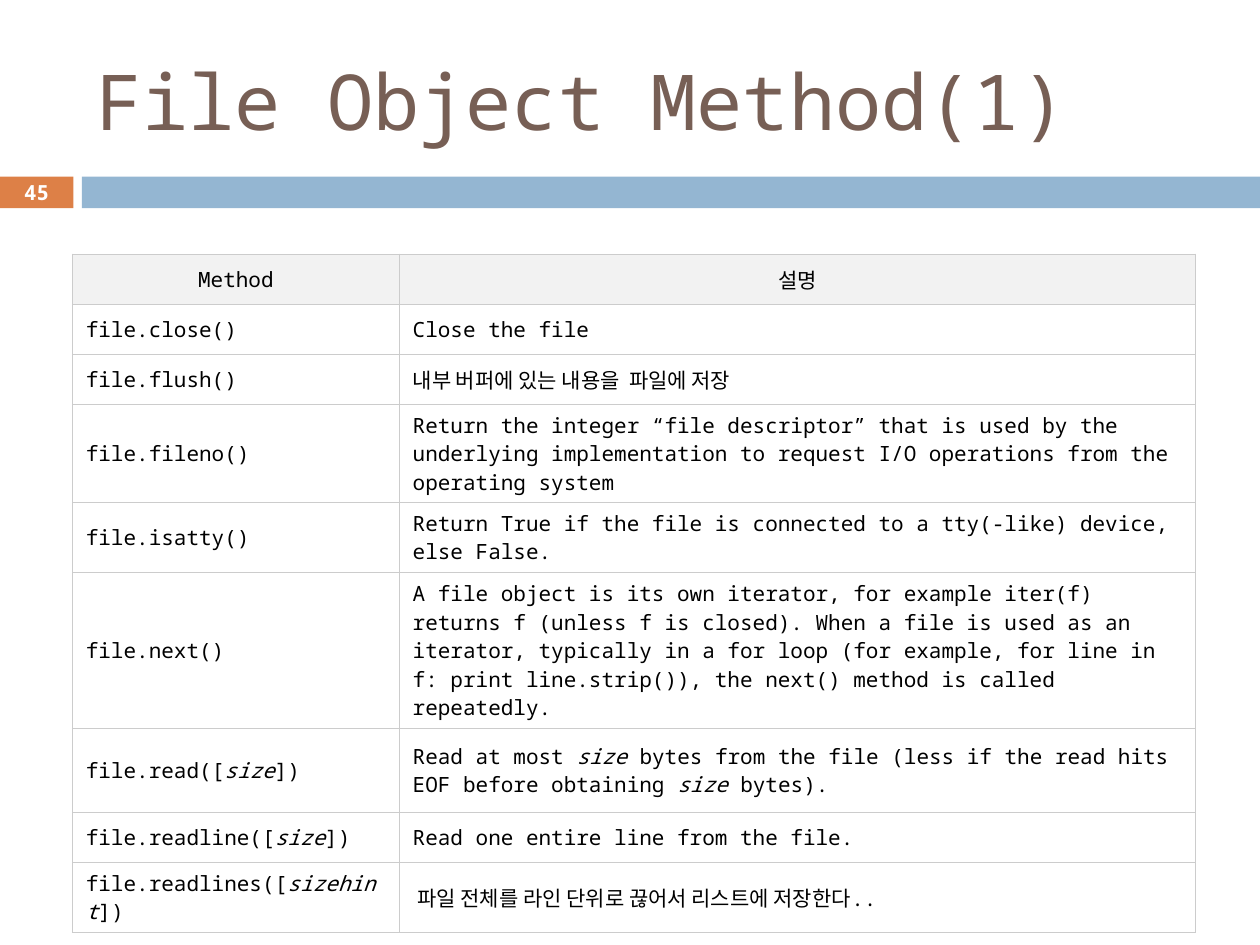
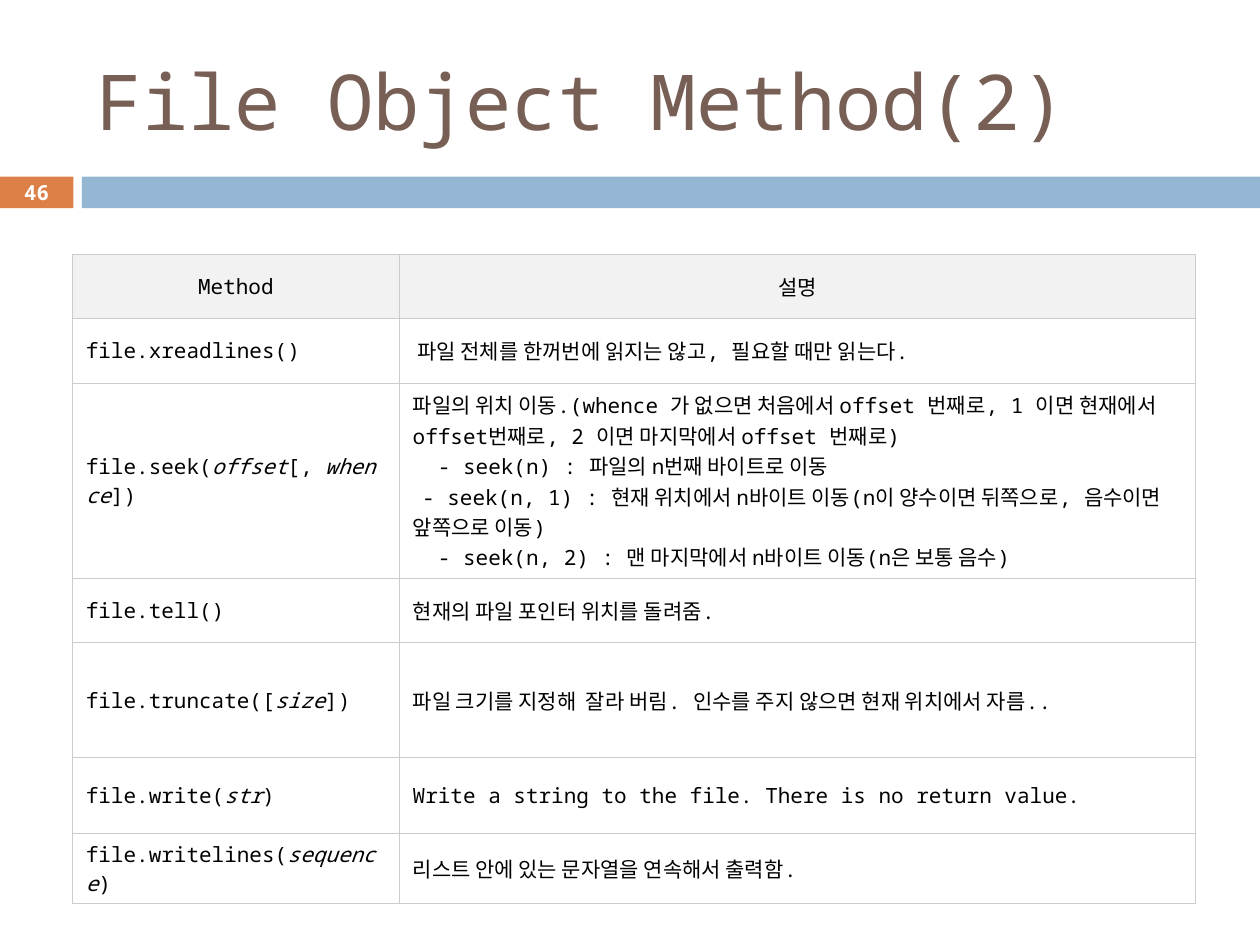
from dataclasses import dataclass

from lxml.etree import SubElement
from pptx import Presentation
from pptx.dml.color import RGBColor
from pptx.enum.shapes import MSO_SHAPE
from pptx.enum.text import MSO_ANCHOR, PP_ALIGN
from pptx.oxml.ns import qn
from pptx.util import Cm, Pt


@dataclass(frozen=True)
class Theme:
    font: str = "Noto Sans Mono"
    title_color: str = "775F55"
    number_band: str = "DD8047"
    title_band: str = "94B6D2"
    header_fill: str = "F2F2F2"
    body_fill: str = "FFFFFF"
    number_color: str = "FFFFFF"
    text_color: str = "000000"
    border: str = "CCCCCC"
    title_size: float = 44
    body_size: float = 12
    number_size: float = 11.9
    border_width: float = 0.6


THEME = Theme()
SLIDE_WIDTH, SLIDE_HEIGHT = 25.4, 19.05
BAND_TOP, BAND_HEIGHT = 3.56, 0.64
NUMBER_WIDTH, BAND_LEFT = 1.48, 1.65
TABLE_LEFT, TABLE_TOP = 1.46, 5.12
COLUMN_WIDTHS = (6.59, 16.05)
HEADER = ("Method", "설명")

# Each row is its height, tall enough for all its lines, and its texts.
# In the texts, *...* is italic, ~ a non-breaking space,
# a line feed a new paragraph and | a line break.
SLIDES = [
    ("File Object Method(1)", 45, [
        (1.01, *HEADER),
        (1.01, "file.close()", "Close the file"),
        (1.01, "file.flush()", "내부 버퍼에 있는 내용을  파일에 저장"),
        (1.98, "file.fileno()",
         "Return the integer “file descriptor” that is used by the underlying "
         "implementation to request I/O operations from the operating system"),
        (1.41, "file.isatty()",
         "Return~True~if the file is connected to a tty(-like) device, else~False."),
        (3.15, "file.next()",
         "A file object is its own iterator, for example iter(f) returns f (unless f "
         "is closed). When a file is used as an iterator, typically in a for loop "
         "(for example, for line in f: print line.strip()), the next() method is "
         "called repeatedly."),
        (1.68, "file.read([*size*])",
         "Read at most~*size*~bytes from the file (less if the read hits EOF before "
         "obtaining~*size*~bytes)."),
        (1.01, "file.readline([*size*])", "Read one entire line from the file."),
        (1.41, "file.readlines([*sizehint*])",
         "~파일 전체를 라인 단위로 끊어서 리스트에 저장한다.."),
    ]),
    ("File Object Method(2)", 46, [
        (1.3, *HEADER),
        (1.3, "file.xreadlines()", "~파일 전체를 한꺼번에 읽지는 않고, 필요할 때만 읽는다."),
        (3.94, "file.seek(*offset*[,~*whence*])",
         "파일의 위치 이동.(whence 가 없으면 처음에서 offset 번째로, 1 이면 현재에서 "
         "offset번째로, 2 이면 마지막에서 offset 번째로)\n"
         "~ - seek(n) : 파일의 n번째 바이트로 이동|"
         "~ - seek(n, 1) : 현재 위치에서 n바이트 이동(n이 양수이면 뒤쪽으로, "
         "음수이면 앞쪽으로 이동)|"
         "~ - seek(n, 2) : 맨 마지막에서 n바이트 이동(n은 보통 음수)"),
        (1.3, "file.tell()", "현재의 파일 포인터 위치를 돌려줌."),
        (2.3, "file.truncate([*size*])",
         "파일 크기를 지정해  잘라 버림. 인수를 주지 않으면 현재 위치에서 자름.."),
        (1.55, "file.write(*str*)", "Write a string to the file. There is no return value."),
        (1.41, "file.writelines(*sequence*)", "리스트 안에 있는 문자열을 연속해서 출력함."),
    ]),
]


def write_text(frame, text, size=THEME.body_size, color=THEME.text_color,
               bold=False, align=PP_ALIGN.LEFT):
    """Fill a text frame, reading the small markup described above."""
    frame.word_wrap = True
    for index, line in enumerate(text.replace("~", chr(160)).split("\n")):
        para = frame.add_paragraph() if index else frame.paragraphs[0]
        para.alignment = align
        for part_index, part in enumerate(line.split("*")):
            for piece_index, piece in enumerate(part.split("|")):
                if piece_index:
                    para.add_line_break()
                if not piece:
                    continue
                span = para.add_run()
                span.text = piece
                span.font.name = THEME.font
                span.font.size = Pt(size)
                span.font.bold = bold
                span.font.italic = part_index % 2 == 1
                span.font.color.rgb = RGBColor.from_string(color)


class PageBuilder:
    def __init__(self, deck, theme):
        self.deck = deck
        self.theme = theme
        self.page = None

    def new_page(self):
        self.page = self.deck.slides.add_slide(self.deck.slide_layouts[6])

    def band(self, left, width, color):
        box = self.page.shapes.add_shape(
            MSO_SHAPE.RECTANGLE, Cm(left), Cm(BAND_TOP), Cm(width), Cm(BAND_HEIGHT))
        box.shadow.inherit = False
        box.fill.solid()
        box.fill.fore_color.rgb = RGBColor.from_string(color)
        box.line.fill.background()

    def text(self, left, top, width, height, text, **text_format):
        box = self.page.shapes.add_textbox(Cm(left), Cm(top), Cm(width), Cm(height))
        box.text_frame.vertical_anchor = MSO_ANCHOR.MIDDLE
        write_text(box.text_frame, text, **text_format)

    # Bands, title and page number shared by all slides
    def frame(self, title, number):
        theme = self.theme
        self.band(0, NUMBER_WIDTH, theme.number_band)
        self.band(BAND_LEFT, SLIDE_WIDTH - BAND_LEFT, theme.title_band)
        self.text(1.69, 0.64, 22.66, 2.74, title,
                  size=theme.title_size, color=theme.title_color)
        self.text(0, BAND_TOP - 0.02, NUMBER_WIDTH, BAND_HEIGHT + 0.04, str(number),
                  size=theme.number_size, color=theme.number_color,
                  bold=True, align=PP_ALIGN.CENTER)

    # Method table
    def border(self, cell):
        properties = cell._tc.get_or_add_tcPr()
        for side in ("lnL", "lnR", "lnT", "lnB"):
            line = SubElement(properties, qn(f"a:{side}"),
                              w=str(Pt(self.theme.border_width)))
            fill = SubElement(line, qn("a:solidFill"))
            SubElement(fill, qn("a:srgbClr"), val=self.theme.border)

    def table(self, rows):
        table = self.page.shapes.add_table(
            len(rows), len(COLUMN_WIDTHS), Cm(TABLE_LEFT), Cm(TABLE_TOP),
            Cm(sum(COLUMN_WIDTHS)), Cm(sum(row[0] for row in rows))).table
        table.first_row = table.horz_banding = False
        for column, width in zip(table.columns, COLUMN_WIDTHS):
            column.width = Cm(width)
        for row_index, (height, *texts) in enumerate(rows):
            table.rows[row_index].height = Cm(height)
            for column_index, text in enumerate(texts):
                self.cell(table.cell(row_index, column_index), text, row_index == 0)

    def cell(self, cell, text, is_header):
        self.border(cell)
        cell.fill.solid()
        cell.fill.fore_color.rgb = RGBColor.from_string(
            self.theme.header_fill if is_header else self.theme.body_fill)
        cell.vertical_anchor = MSO_ANCHOR.MIDDLE
        cell.margin_left = cell.margin_right = Cm(0.27)
        write_text(cell.text_frame, text,
                   align=PP_ALIGN.CENTER if is_header else PP_ALIGN.LEFT)


def main():
    deck = Presentation()
    deck.slide_width, deck.slide_height = Cm(SLIDE_WIDTH), Cm(SLIDE_HEIGHT)
    builder = PageBuilder(deck, THEME)
    for title, number, rows in SLIDES:
        builder.new_page()
        builder.frame(title, number)
        builder.table(rows)
    deck.save("out.pptx")


if __name__ == "__main__":
    main()
